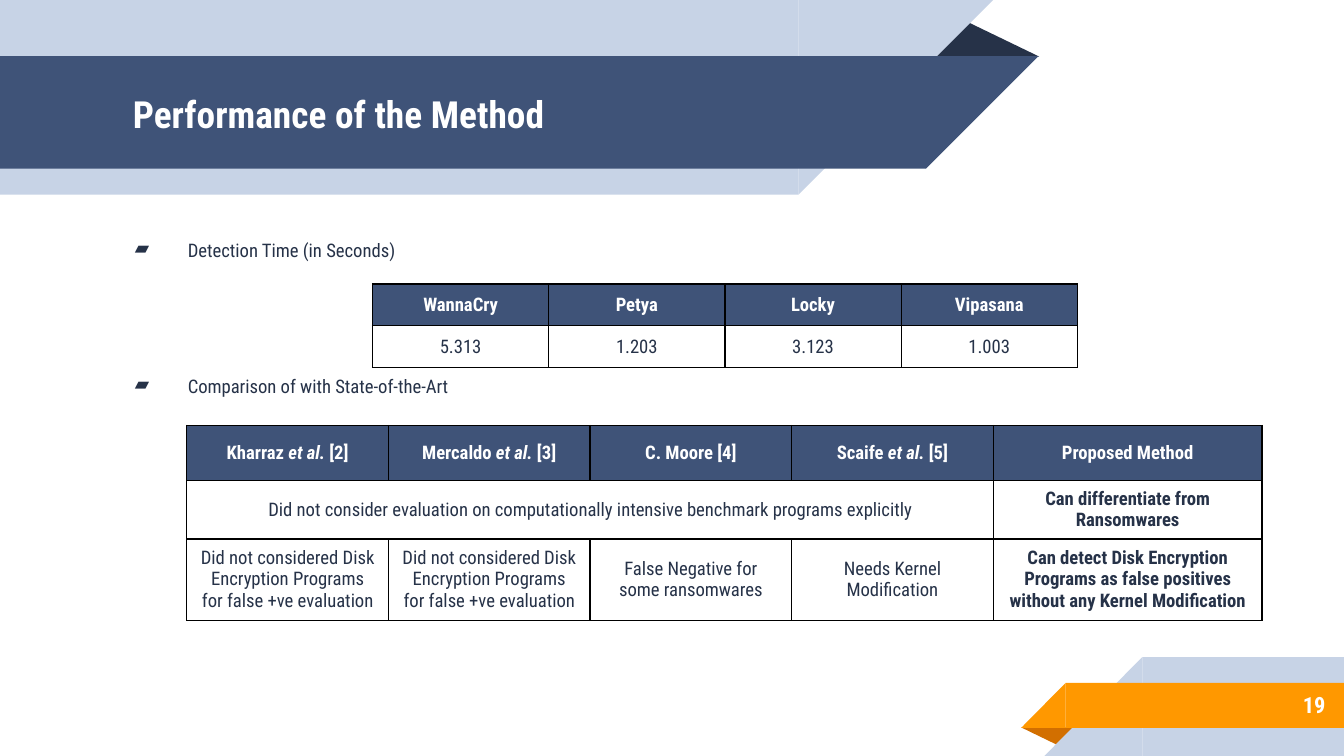
"""Build the slide on detection times and the comparison with related methods."""
from lxml import etree
from pptx import Presentation
from pptx.dml.color import RGBColor
from pptx.enum.shapes import MSO_SHAPE
from pptx.enum.text import MSO_ANCHOR, PP_ALIGN
from pptx.oxml.ns import qn
from pptx.util import Cm, Pt

RECT, CORNER, FOLD = MSO_SHAPE.RECTANGLE, MSO_SHAPE.RIGHT_TRIANGLE, MSO_SHAPE.ISOSCELES_TRIANGLE
LEFT, CENTER, RIGHT, JUSTIFY = PP_ALIGN.LEFT, PP_ALIGN.CENTER, PP_ALIGN.RIGHT, PP_ALIGN.JUSTIFY
TOP, MIDDLE = MSO_ANCHOR.TOP, MSO_ANCHOR.MIDDLE
INK, NAVY, PALE, ORANGE, RUST = "263248", "3F5378", "C7D3E6", "FF9800", "D26F00"
WHITE, BLACK = "FFFFFF", "000000"

colour = RGBColor.from_string


def format_runs(paragraph, size, hue, bold, align):
    paragraph.alignment = align
    for run in paragraph.runs:
        run.font.name = "Roboto Condensed"
        run.font.size = Pt(size)
        run.font.bold = bold
        run.font.color.rgb = colour(hue)


def add_text(box, lines, anchor, size, hue, bold, align):
    frame = slide.shapes.add_textbox(*map(Cm, box)).text_frame
    frame.word_wrap = True
    frame.vertical_anchor = anchor
    frame.margin_left = frame.margin_right = frame.margin_top = frame.margin_bottom = Cm(0.25)
    frame.text = "\n".join(lines)
    for paragraph in frame.paragraphs:
        format_runs(paragraph, size, hue, bold, align)
    return frame


prs = Presentation()
prs.slide_width, prs.slide_height = Cm(25.4), Cm(14.29)
slide = prs.slides.add_slide(prs.slide_layouts[6])

ribbons = [
    (FOLD, 17.48, 0.36, 2.16, 0.71, INK, 0),
    (RECT, 0, 0, 15.09, 3.68, PALE, 0),
    (CORNER, 15.09, 0, 3.68, 3.68, PALE, 180),
    (RECT, 0, 1.06, 17.5, 2.13, NAVY, 0),
    (CORNER, 17.5, 1.06, 2.13, 2.13, NAVY, 180),
    (FOLD, 19.3, 13.75, 1.09, 0.36, RUST, 180),
    (RECT, 21.59, 12.42, 3.81, 1.87, PALE, 0),
    (CORNER, 19.74, 12.42, 1.85, 1.87, PALE, 0),
    (RECT, 20.14, 12.91, 5.26, 0.85, ORANGE, 0),
    (CORNER, 19.3, 12.91, 0.84, 0.85, ORANGE, 0),
]
for kind, left, top, width, height, hue, turn in ribbons:
    ribbon = slide.shapes.add_shape(kind, Cm(left), Cm(top), Cm(width), Cm(height))
    ribbon.shadow.inherit = False
    ribbon.fill.solid()
    ribbon.fill.fore_color.rgb = colour(hue)
    ribbon.line.fill.background()
    ribbon.rotation = turn
    if kind == CORNER:
        ribbon._element.spPr.find(qn("a:xfrm")).set("flipH", "1")
    if kind == FOLD:
        ribbon.adjustments[0] = 0.32

add_text((2.26, 1.09, 14.6, 2.13), ["Performance of the Method"], MIDDLE, 20, WHITE, True, LEFT)
add_text((21.16, 12.88, 4.14, 0.89), ["19"], MIDDLE, 12, WHITE, True, RIGHT)

topics = add_text((2.03, 4.27, 14.83, 8.26),
                  ["Detection Time (in Seconds)", "Comparison of with State-of-the-Art"],
                  TOP, 10, INK, False, JUSTIFY)
for topic in topics.paragraphs:
    properties = topic._p.get_or_add_pPr()
    properties.set("marL", str(Cm(1.27)))
    properties.set("indent", str(Cm(-1)))
    etree.SubElement(properties, qn("a:buChar")).set("char", "▰")
topics.paragraphs[1].space_before = Pt(60.5)

# Bars set off the italic part of a heading.
detection_times = [["WannaCry", "Petya", "Locky", "Vipasana"],
                   ["5.313", "1.203", "3.123", "1.003"]]
no_disk_check = "Did not considered Disk Encryption Programs for false +ve evaluation"
comparison = [
    ["Kharraz |et al. |[2]", "Mercaldo |et al.| [3]", "C. Moore [4]",
     "Scaife |et al. |[5]", "Proposed Method"],
    ["Did not consider evaluation on computationally intensive benchmark programs explicitly",
     "", "", "", "Can differentiate from Ransomwares"],
    [no_disk_check, no_disk_check, "False Negative for some ransomwares",
     "Needs Kernel Modification",
     "Can detect Disk Encryption Programs as false positives without any Kernel Modification"],
]
tables = [
    (detection_times, 7.04, 5.37, [3.33] * 4, [0.79] * 2, 0.18),
    (comparison, 3.53, 8.04, [3.81] * 4 + [5.08], [1.04, 1.07, 1.48], 0.13),
]
for rows, left, top, widths, heights, margin in tables:
    table = slide.shapes.add_table(len(rows), len(widths), Cm(left), Cm(top),
                                   Cm(sum(widths)), Cm(sum(heights))).table
    table.first_row = table.horz_banding = False
    for column, width in zip(table.columns, widths):
        column.width = Cm(width)
    for row, height in zip(table.rows, heights):
        row.height = Cm(height)
    if rows is comparison:
        table.cell(1, 0).merge(table.cell(1, 3))
    for r, row in enumerate(rows):
        for c, words in enumerate(row):
            cell = table.cell(r, c)
            cell.vertical_anchor = MIDDLE
            cell.margin_left = cell.margin_right = Cm(0.25)
            cell.margin_top = cell.margin_bottom = Cm(margin)
            for side in ("lnL", "lnR", "lnT", "lnB"):
                border = etree.SubElement(cell._tc.get_or_add_tcPr(), qn("a:" + side))
                border.set("w", str(Pt(0.75)))
                paint = etree.SubElement(border, qn("a:solidFill"))
                etree.SubElement(paint, qn("a:srgbClr")).set("val", BLACK)
            if r == 0:
                cell.fill.solid()
                cell.fill.fore_color.rgb = colour(NAVY)
            else:
                cell.fill.background()
            if cell.is_spanned:
                continue
            paragraph = cell.text_frame.paragraphs[0]
            for i, part in enumerate(words.split("|")):
                run = paragraph.add_run()
                run.text = part
                run.font.italic = i == 1
            format_runs(paragraph, 10, INK if r else WHITE, r == 0 or c == 4, CENTER)

prs.save("out.pptx")
